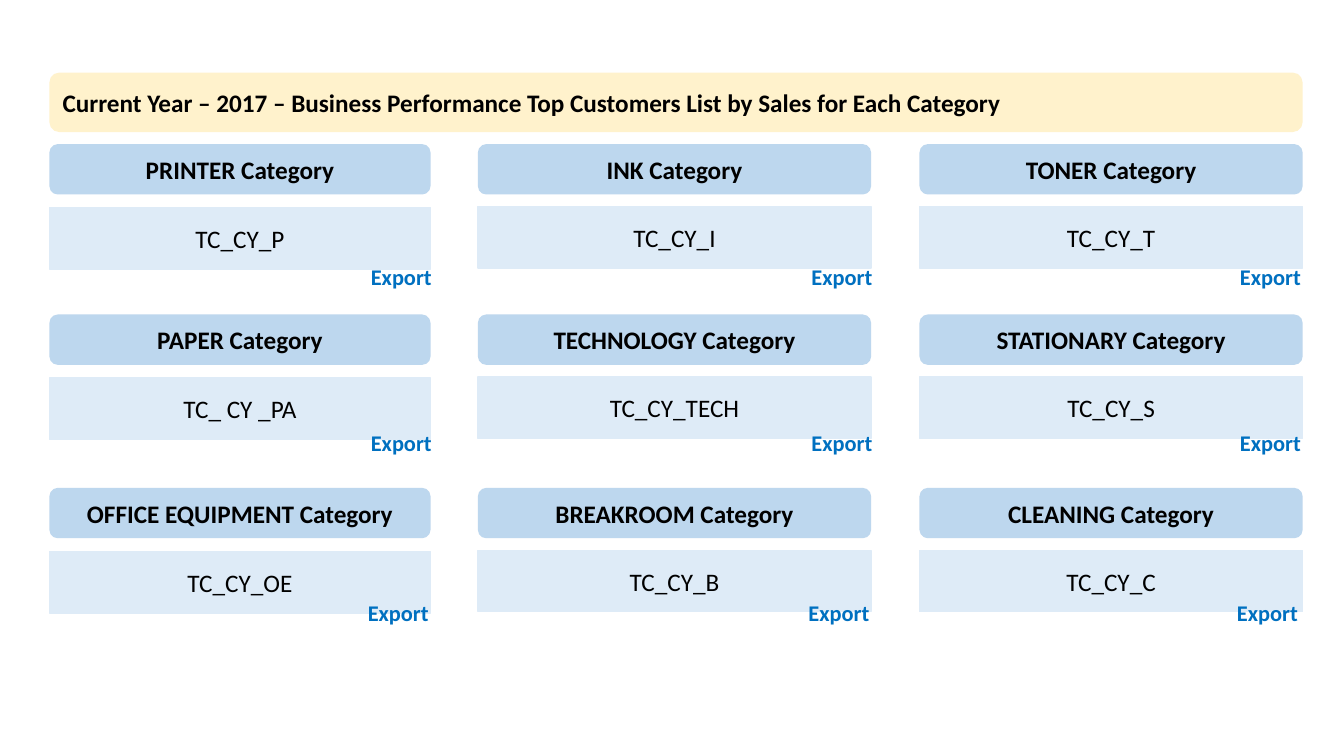
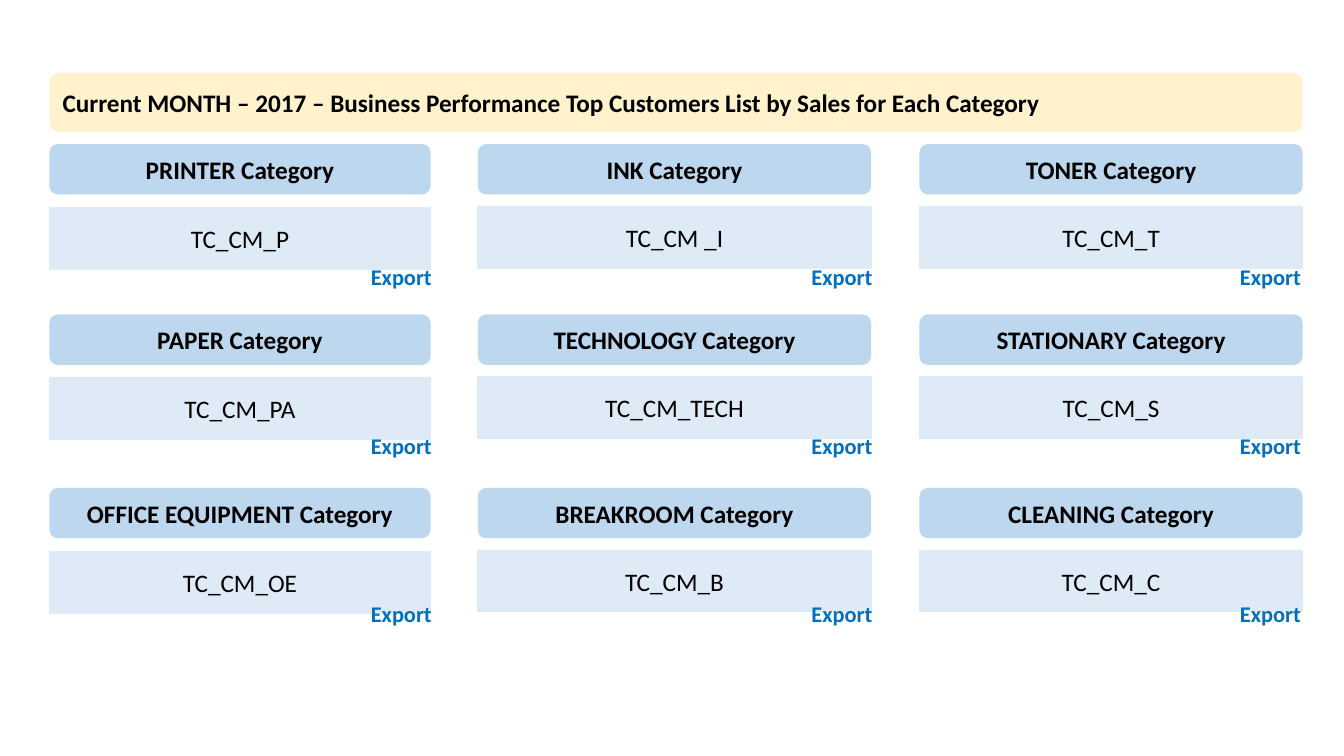
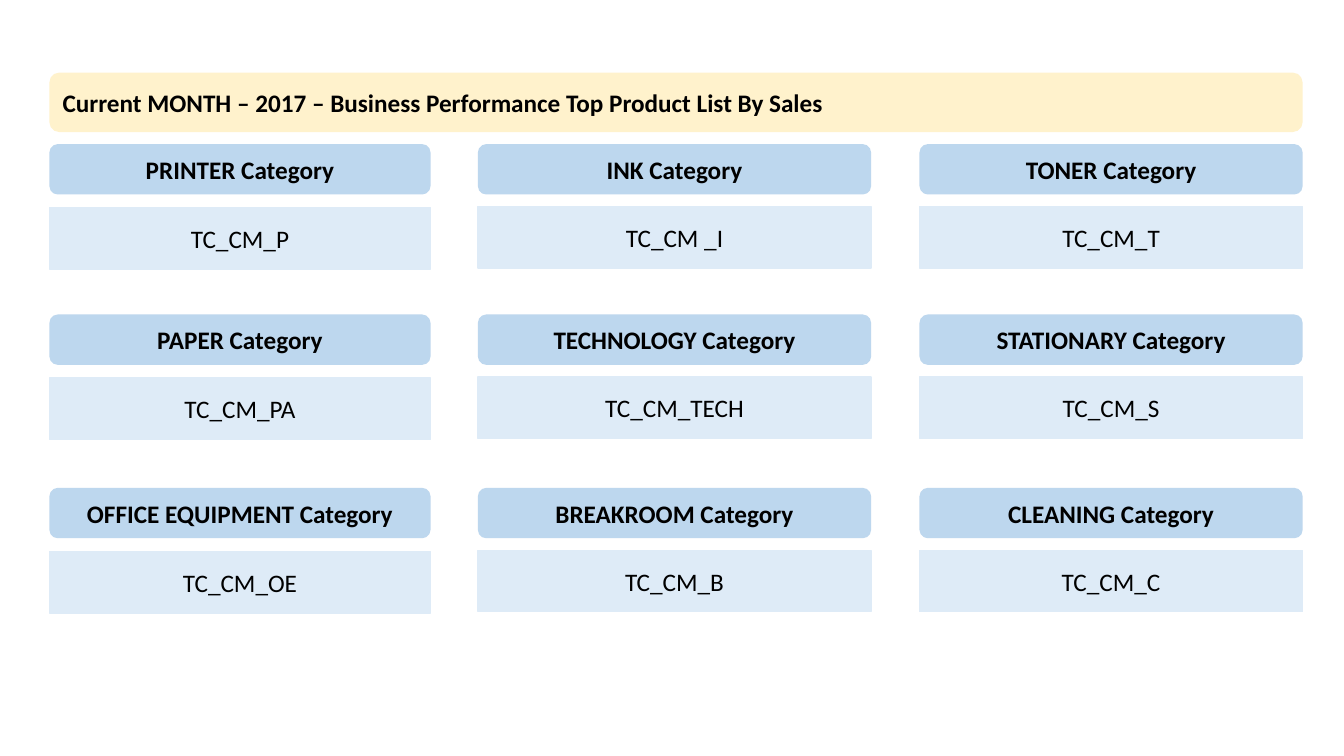
from dataclasses import dataclass
from pptx import Presentation
from pptx.dml.color import RGBColor
from pptx.enum.shapes import MSO_SHAPE as Preset
from pptx.enum.text import MSO_ANCHOR as Anchor, MSO_AUTO_SIZE as Fit, PP_ALIGN as Align
from pptx.util import Inches, Pt


@dataclass(frozen=True)
class Theme:
    font: str = "Calibri"
    text: str = "000000"
    banner: str = "FFF2CC"
    header: str = "BDD7EE"
    panel: str = "DEEBF7"
    action: str = "0070C0"
    main_size: int = 18
    action_size: int = 16


THEME = Theme()
CATEGORIES = ("PRINTER", "INK", "TONER", "PAPER", "TECHNOLOGY", "STATIONARY",
              "OFFICE EQUIPMENT", "BREAKROOM", "CLEANING")
COLUMNS = ((0.49, 3.78), (4.74, 3.9), (9.12, 3.8))
ROW_TOPS = (1.43, 3.12, 4.84)
PANEL_DROPS = (0.63, 0.62, 0.62)
EXPORT_LEFTS = (3.58, 7.95, 12.2)

YEAR_CODES = ("TC_CY_P", "TC_CY_I", "TC_CY_T", "TC_ CY _PA", "TC_CY_TECH", "TC_CY_S",
              "TC_CY_OE", "TC_CY_B", "TC_CY_C")
MONTH_CODES = ("TC_CM_P", "TC_CM _I", "TC_CM_T", "TC_CM_PA", "TC_CM_TECH", "TC_CM_S",
               "TC_CM_OE", "TC_CM_B", "TC_CM_C")
YEAR_EXPORTS = ((0, 2.56), (0, 4.21), (-0.03, 5.89))
MONTH_EXPORTS = ((0, 2.56), (0, 4.24), (0, 5.9))

SLIDES = (
    ("Current Year – 2017 – Business Performance Top Customers List by Sales for Each Category",
     YEAR_CODES, YEAR_EXPORTS),
    ("Current MONTH – 2017 – Business Performance Top Customers List by Sales for Each Category",
     MONTH_CODES, MONTH_EXPORTS),
    ("Current MONTH – 2017 – Business Performance Top Product List By Sales",
     MONTH_CODES, ()),
)


def write_text(frame, text, size=THEME.main_size, color=THEME.text, bold=False,
               align=Align.CENTER, anchor=Anchor.MIDDLE, wrap=True):
    frame.word_wrap = wrap
    frame.vertical_anchor = anchor
    para = frame.paragraphs[0]
    para.alignment = align
    span = para.add_run()
    span.text = text
    span.font.name = THEME.font
    span.font.size = Pt(size)
    span.font.bold = bold
    span.font.color.rgb = RGBColor.from_string(color)


class Builder:
    def __init__(self, theme):
        self.theme = theme
        self.deck = Presentation()
        self.deck.slide_width = Inches(13.33)
        self.deck.slide_height = Inches(7.5)
        self.page = None

    def new_page(self):
        self.page = self.deck.slides.add_slide(self.deck.slide_layouts[5])

    def block(self, preset, left, top, width, height, fill, outlined=False):
        box = self.page.shapes.add_shape(
            preset, Inches(left), Inches(top), Inches(width), Inches(height))
        box.shadow.inherit = False
        box.fill.solid()
        box.fill.fore_color.rgb = RGBColor.from_string(fill)
        if outlined:
            box.line.color.rgb = RGBColor.from_string(fill)
            box.line.width = Pt(1)
        else:
            box.line.fill.background()
        return box

    def title(self, text):
        banner = self.block(Preset.ROUNDED_RECTANGLE, 0.49, 0.72, 12.43, 0.59,
                            self.theme.banner)
        title = self.page.shapes.title
        title.left, title.top = banner.left, banner.top
        title.width, title.height = banner.width, banner.height
        title.text_frame.auto_size = Fit.NONE
        title.text_frame.margin_left = Inches(0.13)
        write_text(title.text_frame, text, bold=True, align=Align.LEFT)
        banner.element.addnext(title.element)

    def header(self, text, left, top, width):
        box = self.block(Preset.ROUNDED_RECTANGLE, left, top, width, 0.5, self.theme.header)
        write_text(box.text_frame, text, bold=True)

    def panel(self, text, left, top, width):
        box = self.block(Preset.RECTANGLE, left, top, width, 0.61, self.theme.panel,
                         outlined=True)
        write_text(box.text_frame, text)

    def export_label(self, left, top):
        box = self.page.shapes.add_textbox(
            Inches(left), Inches(top), Inches(0.81), Inches(0.37))
        write_text(box.text_frame, "Export", size=self.theme.action_size,
                   color=self.theme.action, bold=True, align=Align.LEFT,
                   anchor=Anchor.TOP, wrap=False)
        box.text_frame.auto_size = Fit.SHAPE_TO_FIT_TEXT

    def category_grid(self, codes):
        for index, (category, code) in enumerate(zip(CATEGORIES, codes)):
            row, column = divmod(index, len(COLUMNS))
            left, width = COLUMNS[column]
            top = ROW_TOPS[row]
            self.header(f"{category} Category", left, top, width)
            self.panel(code, left, top + PANEL_DROPS[column], width)

    def export_grid(self, rows):
        for shift, top in rows:
            for left in EXPORT_LEFTS:
                self.export_label(left + shift, top)


def main():
    builder = Builder(THEME)
    for title, codes, exports in SLIDES:
        builder.new_page()
        builder.title(title)
        builder.category_grid(codes)
        builder.export_grid(exports)
    builder.deck.save("out.pptx")


if __name__ == "__main__":
    main()
